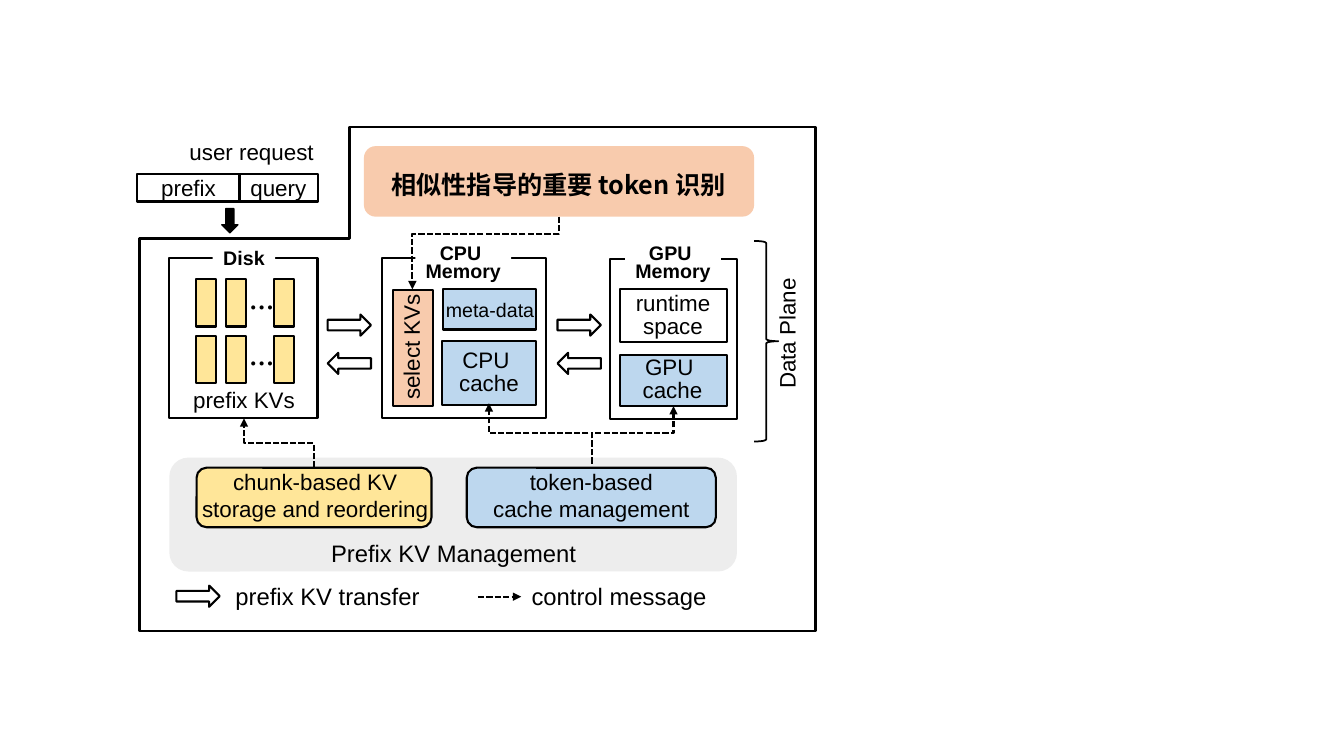
from lxml import etree
from pptx import Presentation
from pptx.dml.color import RGBColor
from pptx.enum import dml, shapes, text
from pptx.oxml.ns import qn
from pptx.util import Inches, Pt

SHAPE = shapes.MSO_SHAPE
BLACK, WHITE = "000000", "FFFFFF"
YELLOW, BLUE, ORANGE, GREY = "FFE699", "BDD7EE", "F8CBAD", "EDEDED"
LATIN, CHINESE = "Arial", "Noto Sans CJK SC"
TIGHT = 16.6


def color(value):
    """Turn a hex string into a colour."""
    return RGBColor.from_string(value)


def paint(shape, fill=None, line=1.5):
    """Set fill and outline, leaving out whichever is None."""
    shape.shadow.inherit = False
    if fill:
        shape.fill.solid()
        shape.fill.fore_color.rgb = color(fill)
    else:
        shape.fill.background()
    if line:
        shape.line.color.rgb = color(BLACK)
        shape.line.width = Pt(line)
    else:
        shape.line.fill.background()
    return shape


def add_box(slide, kind, box, fill=None, line=1.5):
    """Add a preset shape at left, top, width, height in inches."""
    return paint(slide.shapes.add_shape(kind, *map(Inches, box)), fill, line)


def write(shape, words, size=16, spacing=None, bold=False, font=LATIN):
    """Write centred lines of text into a shape."""
    frame = shape.text_frame
    frame.word_wrap = False
    frame.text = words
    for paragraph in frame.paragraphs:
        paragraph.alignment = text.PP_ALIGN.CENTER
        if spacing:
            paragraph.line_spacing = Pt(spacing)
        paragraph.font.size = Pt(size)
        paragraph.font.bold = bold
        paragraph.font.name = font
        paragraph.font.color.rgb = color(BLACK)
        defaults = paragraph._p.pPr.find(qn("a:defRPr"))
        etree.SubElement(defaults, qn("a:ea"), typeface=font)


def add_label(slide, box, words, rotation=0, **style):
    """Add a text box."""
    label = slide.shapes.add_textbox(*map(Inches, box))
    label.rotation = rotation
    write(label, words, **style)


def add_heading(slide, box, words, spacing):
    """Add a white heading that interrupts a frame's top edge."""
    heading = add_box(slide, SHAPE.RECTANGLE, box, WHITE, None)
    write(heading, words, size=14, spacing=spacing, bold=True)


def add_field(slide, box, words):
    """Add a request field without text margins."""
    field = add_box(slide, SHAPE.RECTANGLE, box)
    frame = field.text_frame
    frame.margin_left = frame.margin_right = frame.margin_top = frame.margin_bottom = 0
    write(field, words)


def add_message(slide, kind, start, end):
    """Add a dashed connector with an arrowhead."""
    connector = slide.shapes.add_connector(kind, *map(Inches, (*start, *end)))
    connector.line.color.rgb = color(BLACK)
    connector.line.width = Pt(1.5)
    connector.line.dash_style = dml.MSO_LINE.SQUARE_DOT
    properties = connector._element.spPr
    etree.SubElement(properties.find(qn("a:ln")), qn("a:tailEnd"), type="triangle")
    etree.SubElement(properties, qn("a:effectLst"))
    return connector


def add_elbow(slide, start, end, bend=0.5):
    """Add a message that leaves and arrives vertically, by a quarter turn."""
    (x1, y1), (x2, y2) = start, end
    middle_x, middle_y = (x1 + x2) / 2, (y1 + y2) / 2
    half_x, half_y = (y2 - y1) / 2, (x1 - x2) / 2
    connector = add_message(slide, shapes.MSO_CONNECTOR.ELBOW,
                            (middle_x - half_x, middle_y - half_y),
                            (middle_x + half_x, middle_y + half_y))
    properties = connector._element.spPr
    properties.find(qn("a:xfrm")).set("rot", str(90 * 60000))
    geometry = properties.find(qn("a:prstGeom"))
    adjustments = geometry.find(qn("a:avLst"))
    if adjustments is None:
        adjustments = etree.SubElement(geometry, qn("a:avLst"))
    etree.SubElement(adjustments, qn("a:gd"), name="adj1", fmla=f"val {round(bend * 100000)}")


def add_transfer(slide, left, top, backward=False):
    """Add a hollow transfer arrow."""
    kind = SHAPE.LEFT_ARROW if backward else SHAPE.RIGHT_ARROW
    add_box(slide, kind, (left, top, 0.43, 0.21))


def add_outline(slide):
    """Add the stepped border around the system."""
    corners = [(8.09, 1.26), (8.09, 6.26), (1.38, 6.26), (1.38, 2.37), (3.47, 2.37)]
    builder = slide.shapes.build_freeform(Inches(3.47), Inches(1.26))
    builder.add_line_segments([(Inches(x), Inches(y)) for x, y in corners])
    paint(builder.convert_to_shape(), line=2)


def add_request(slide):
    """Add the user request with its arrow."""
    add_label(slide, (1.77, 1.32, 1.45, 0.37), "user request")
    add_field(slide, (1.36, 1.73, 1.02, 0.27), "prefix")
    add_field(slide, (2.37, 1.73, 0.78, 0.27), "query")
    add_box(slide, SHAPE.DOWN_ARROW, (2.2, 2.07, 0.16, 0.24), BLACK, 1)


def add_disk(slide):
    """Add the disk with two rows of prefix KVs."""
    add_box(slide, SHAPE.RECTANGLE, (1.68, 2.56, 1.47, 1.59))
    add_heading(slide, (2.11, 2.4, 0.62, 0.32), "Disk", TIGHT)
    for top in (2.77, 3.33):
        for left in (1.94, 2.24, 2.72):
            add_box(slide, SHAPE.RECTANGLE, (left, top, 0.2, 0.47), YELLOW)
        add_label(slide, (2.38, top + 0.08, 0.41, 0.4), "…", size=18, bold=True, font=CHINESE)
    add_label(slide, (1.81, 3.82, 1.22, 0.34), "prefix KVs", spacing=TIGHT)


def add_cpu(slide):
    """Add the CPU memory."""
    add_box(slide, SHAPE.RECTANGLE, (3.79, 2.56, 1.63, 1.59))
    add_heading(slide, (4.12, 2.39, 0.95, 0.47), "CPU \nMemory", 12.6)
    add_box(slide, SHAPE.RECTANGLE, (3.52, 3.25, 1.15, 0.4), ORANGE).rotation = 270
    add_label(slide, (3.47, 3.27, 1.26, 0.34), "select KVs", 270, spacing=TIGHT)
    add_box(slide, SHAPE.RECTANGLE, (4.39, 2.87, 0.93, 0.4), BLUE)
    add_label(slide, (4.32, 2.91, 1.08, 0.32), "meta-data", size=14, spacing=TIGHT)
    add_box(slide, SHAPE.RECTANGLE, (4.38, 3.38, 0.94, 0.64), BLUE)
    add_label(slide, (4.45, 3.42, 0.8, 0.58), "CPU \ncache", spacing=TIGHT)


def add_gpu(slide):
    """Add the GPU memory and the data plane brace."""
    add_box(slide, SHAPE.RECTANGLE, (6.05, 2.57, 1.26, 1.59))
    add_heading(slide, (6.2, 2.39, 0.95, 0.47), "GPU \nMemory", 12.6)
    add_box(slide, SHAPE.RECTANGLE, (6.15, 2.87, 1.06, 0.52))
    add_label(slide, (6.2, 2.85, 0.95, 0.58), "runtime\nspace", spacing=TIGHT)
    add_box(slide, SHAPE.RECTANGLE, (6.15, 3.52, 1.06, 0.51), BLUE)
    add_label(slide, (6.27, 3.49, 0.8, 0.58), "GPU \ncache", spacing=TIGHT)
    add_box(slide, SHAPE.RIGHT_BRACE, (7.48, 2.39, 0.24, 1.99), line=1.25)
    add_label(slide, (7.17, 3.14, 1.31, 0.34), "Data Plane", 270, spacing=TIGHT)


def add_management(slide):
    """Add the token identification and the KV management."""
    add_box(slide, SHAPE.ROUNDED_RECTANGLE, (3.61, 1.45, 3.87, 0.7), ORANGE, None)
    add_label(slide, (3.54, 1.63, 4, 0.4), "相似性指导的重要 token 识别",
              size=18, bold=True, font=CHINESE)
    add_box(slide, SHAPE.ROUNDED_RECTANGLE, (1.68, 4.54, 5.63, 1.13), GREY, None)
    add_label(slide, (1.9, 5.29, 5.2, 0.39), "Prefix KV Management", size=17)
    add_box(slide, SHAPE.ROUNDED_RECTANGLE, (1.95, 4.64, 2.33, 0.59), YELLOW)
    add_label(slide, (1.89, 4.6, 2.47, 0.64), "chunk-based KV\nstorage and reordering")
    add_box(slide, SHAPE.ROUNDED_RECTANGLE, (4.63, 4.64, 2.47, 0.59), BLUE)
    add_label(slide, (4.78, 4.6, 2.17, 0.64), "token-based\ncache management")


def add_legend(slide):
    """Add the key to both kinds of arrow."""
    add_transfer(slide, 1.75, 5.81)
    add_label(slide, (1.73, 5.72, 3.04, 0.39), "prefix KV transfer", size=17)
    add_message(slide, shapes.MSO_CONNECTOR.STRAIGHT, (4.74, 5.92), (5.17, 5.92))
    add_label(slide, (5.07, 5.72, 2.14, 0.39), "control message", size=17)


def main():
    """Build and save the slide."""
    presentation = Presentation()
    presentation.slide_width, presentation.slide_height = Inches(13.33), Inches(7.5)
    slide = presentation.slides.add_slide(presentation.slide_layouts[6])
    for add_part in (add_outline, add_request, add_disk, add_cpu, add_gpu,
                     add_management, add_legend):
        add_part(slide)
    for left in (3.25, 5.53):
        add_transfer(slide, left, 3.12)
        add_transfer(slide, left, 3.5, backward=True)
    add_elbow(slide, (5.54, 2.15), (4.09, 2.87), 0.24)
    add_elbow(slide, (3.11, 4.64), (2.42, 4.15))
    add_elbow(slide, (5.87, 4.6), (4.85, 4))
    add_elbow(slide, (5.87, 4.6), (6.68, 4.03), 0.53)
    presentation.save("out.pptx")


if __name__ == "__main__":
    main()
